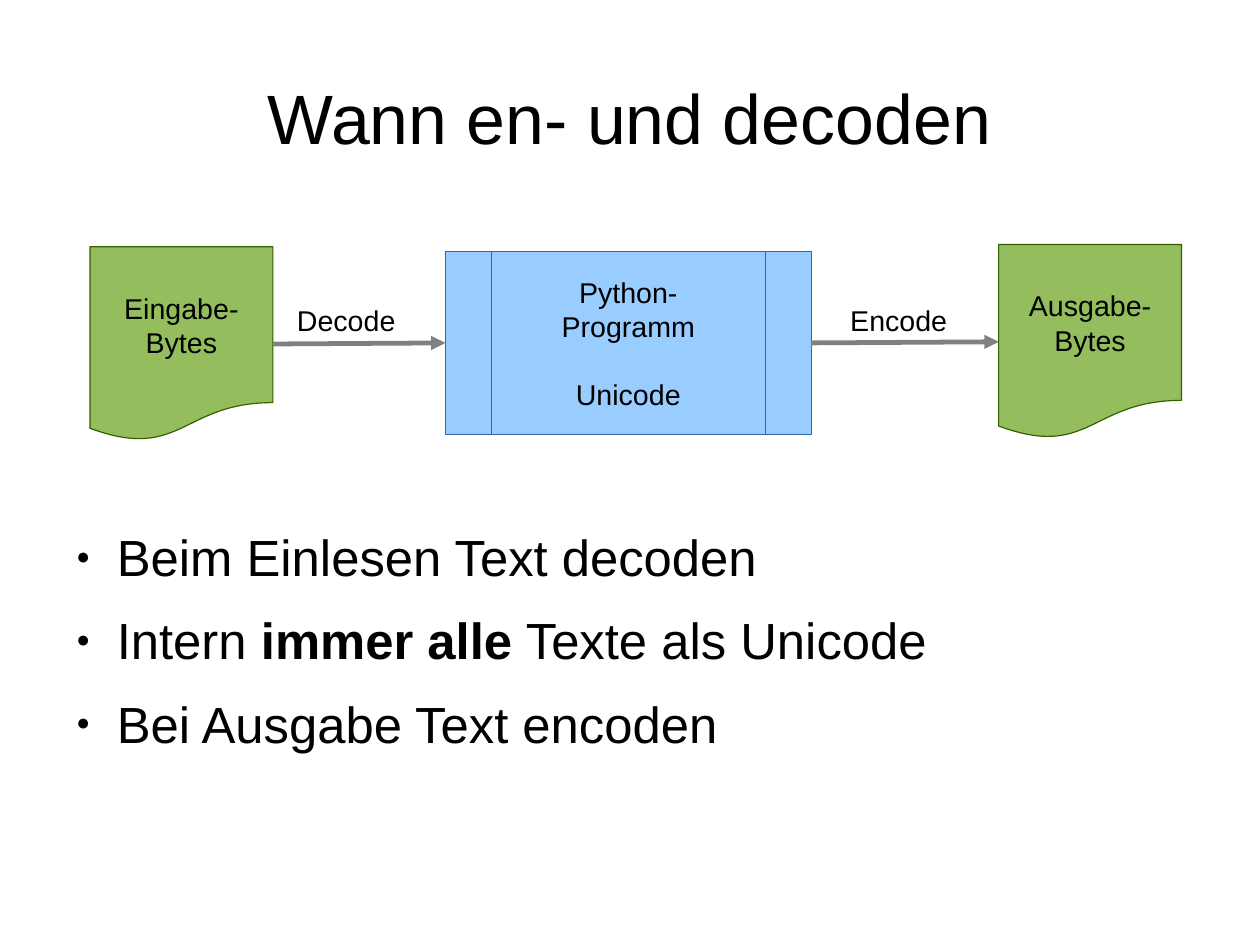
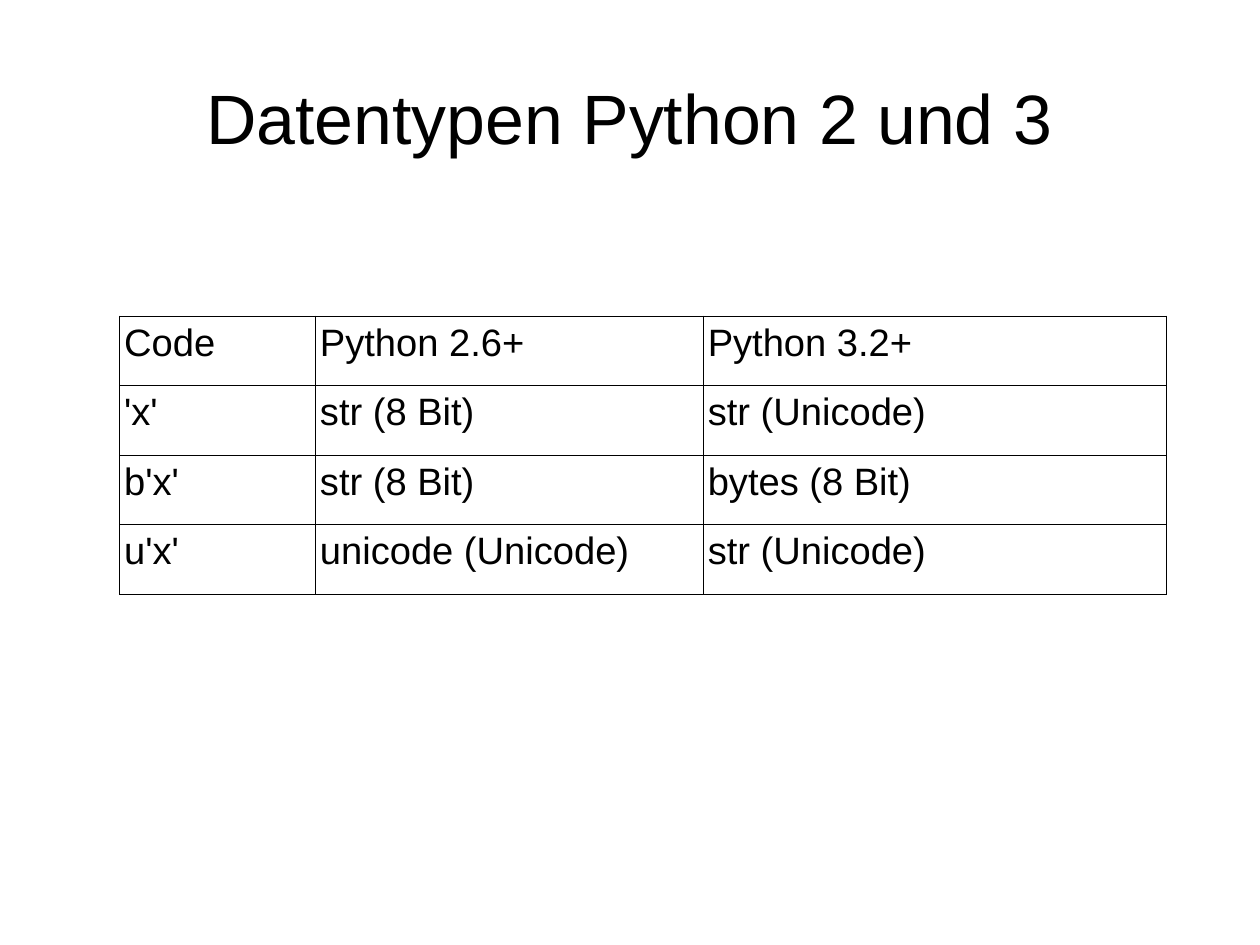
from dataclasses import dataclass
from typing import NamedTuple

import lxml.etree
import pptx
import pptx.dml.color
import pptx.enum.shapes
import pptx.enum.text
import pptx.oxml.ns
import pptx.util

Pt = pptx.util.Pt
qn = pptx.oxml.ns.qn
Kind = pptx.enum.shapes.MSO_SHAPE
Align = pptx.enum.text.PP_ALIGN
Anchor = pptx.enum.text.MSO_ANCHOR
Fit = pptx.enum.text.MSO_AUTO_SIZE


@dataclass(frozen=True)
class Theme:
    font: str = "Arial"
    ink: str = "000000"
    green: str = "94BD5E"
    moss: str = "355E00"
    sky: str = "99CCFF"
    blue: str = "3465A4"
    gray: str = "808080"
    title: float = 44
    body: float = 32
    table: float = 24
    label: float = 18


class Area(NamedTuple):
    left: float
    top: float
    width: float
    height: float

    def points(self) -> list:
        return [Pt(side) for side in self]


class Node(NamedTuple):
    kind: Kind
    area: Area
    fill: str
    line: str
    lines: tuple


class Label(NamedTuple):
    text: str
    area: Area


THEME = Theme()
CM = 72 / 2.54
WIDTH, HEIGHT = 28 * CM, 21 * CM
LEFT, SPAN = 39.6, 714.3
TITLE = Area(LEFT, 23.7, SPAN, 99.4)
BODY = Area(LEFT, 331.2, SPAN, 153.4)
BLANK = 21

NODES = (
    Node(Kind.FLOWCHART_PREDEFINED_PROCESS, Area(280.6, 158.4, 230.4, 115.2),
         THEME.sky, THEME.blue, ("Python-", "Programm", "Unicode")),
    Node(Kind.FLOWCHART_DOCUMENT, Area(56.7, 155.5, 115.2, 122.4),
         THEME.green, THEME.moss, ("Eingabe-\vBytes",)),
    Node(Kind.FLOWCHART_DOCUMENT, Area(629.1, 154.1, 115.2, 122.4),
         THEME.green, THEME.moss, ("Ausgabe-\vBytes",)),
)
LABELS = (
    Label("Decode", Area(180, 187.2, 76.3, 27.4)),
    Label("Encode", Area(528.5, 187.2, 75.6, 27.4)),
)
POINTS = (
    (("Beim Einlesen Text decoden", False),),
    (("Intern ", False), ("immer alle", True), (" Texte als Unicode", False)),
    (("Bei Ausgabe Text encoden", False),),
)
ROWS = (
    ("Code", "Python 2.6+", "Python 3.2+"),
    ("'x'", "str (8 Bit)", "str (Unicode)"),
    ("b'x'", "str (8 Bit)", "bytes (8 Bit)"),
    ("u'x'", "unicode (Unicode)", "str (Unicode)"),
)
COLS = (123.4, 244.3, 291.7)
ROW = 43.8


def tint(code: str) -> pptx.dml.color.RGBColor:
    return pptx.dml.color.RGBColor.from_string(code)


def style(para, size: float, align: Align = Align.LEFT) -> None:
    para.alignment = align
    para.font.name = THEME.font
    para.font.size = Pt(size)
    para.font.color.rgb = tint(THEME.ink)


def inset(box, side: float, edge: float) -> None:
    box.margin_left = box.margin_right = Pt(side)
    box.margin_top = box.margin_bottom = Pt(edge)


def place(holder, area: Area, anchor: Anchor):
    holder.left, holder.top, holder.width, holder.height = area.points()
    frame = holder.text_frame
    frame.auto_size = Fit.NONE
    frame.vertical_anchor = anchor
    inset(frame, 0, 0)
    return frame


def start(deck, layout: int, title: str):
    slide = deck.slides.add_slide(deck.slide_layouts[layout])
    frame = place(slide.shapes.title, TITLE, Anchor.MIDDLE)
    frame.text = title
    style(frame.paragraphs[0], THEME.title, Align.CENTER)
    return slide


def bullet(para) -> None:
    props = para._p.get_or_add_pPr()
    props.set("marL", str(Pt(34)))
    props.set("indent", str(-Pt(25.5)))
    color = lxml.etree.SubElement(props, qn("a:buClr"))
    lxml.etree.SubElement(color, qn("a:srgbClr"), val=THEME.ink)
    lxml.etree.SubElement(props, qn("a:buSzPct"), val="45000")
    lxml.etree.SubElement(props, qn("a:buFont"), typeface=THEME.font)
    lxml.etree.SubElement(props, qn("a:buChar"), char="●")


def fill_list(slide) -> None:
    frame = place(slide.placeholders[1], BODY, Anchor.TOP)
    for index, parts in enumerate(POINTS):
        para = frame.add_paragraph() if index else frame.paragraphs[0]
        para.space_before, para.space_after = Pt(0), Pt(14.1)
        bullet(para)
        style(para, THEME.body)
        for text, bold in parts:
            run = para.add_run()
            run.text = text
            if bold:
                run.font.bold = True


def draw_node(slide, node: Node):
    shape = slide.shapes.add_shape(node.kind, *node.area.points())
    shape.shadow.inherit = False
    shape.fill.solid()
    shape.fill.fore_color.rgb = tint(node.fill)
    shape.line.color.rgb = tint(node.line)
    shape.line.width = Pt(0)
    frame = shape.text_frame
    frame.word_wrap = False
    frame.vertical_anchor = Anchor.MIDDLE
    inset(frame, 7.2, 3.6)
    for index, text in enumerate(node.lines):
        para = frame.add_paragraph() if index else frame.paragraphs[0]
        para.text = text
        style(para, THEME.label, Align.CENTER)
        if index == 2:
            para.space_before = Pt(BLANK)
    return shape


def join(slide, first, second) -> None:
    arrow = slide.shapes.add_connector(
        pptx.enum.shapes.MSO_CONNECTOR.STRAIGHT, 0, 0, 0, 0)
    arrow.begin_connect(first, 3)
    arrow.end_connect(second, 1)
    arrow.line.color.rgb = tint(THEME.gray)
    arrow.line.width = Pt(3)
    props = arrow._element.spPr
    lxml.etree.SubElement(props.find(qn("a:ln")), qn("a:tailEnd"), type="triangle")
    lxml.etree.SubElement(props, qn("a:effectLst"))


def draw_label(slide, label: Label) -> None:
    frame = slide.shapes.add_textbox(*label.area.points()).text_frame
    frame.word_wrap = False
    inset(frame, 7.2, 3.6)
    frame.text = label.text
    style(frame.paragraphs[0], THEME.label)


def border(cell) -> None:
    props = cell._tc.get_or_add_tcPr()
    for side in ("lnL", "lnR", "lnT", "lnB"):
        line = lxml.etree.SubElement(props, qn(f"a:{side}"), w=str(Pt(0.57)))
        solid = lxml.etree.SubElement(line, qn("a:solidFill"))
        lxml.etree.SubElement(solid, qn("a:srgbClr"), val=THEME.ink)


def draw_table(slide) -> None:
    area = Area(75.3, 199.1, sum(COLS), ROW * len(ROWS))
    table = slide.shapes.add_table(len(ROWS), len(COLS), *area.points()).table
    table.first_row = table.horz_banding = False
    for column, width in zip(table.columns, COLS):
        column.width = Pt(width)
    for row, texts in zip(table.rows, ROWS):
        row.height = Pt(ROW)
        for cell, text in zip(row.cells, texts):
            border(cell)
            cell.fill.background()
            inset(cell, 2.9, 3.6)
            cell.text = text
            style(cell.text_frame.paragraphs[0], THEME.table)


def main() -> None:
    deck = pptx.Presentation()
    deck.slide_width, deck.slide_height = Pt(WIDTH), Pt(HEIGHT)

    flow = start(deck, 1, "Wann en- und decoden")
    fill_list(flow)
    core, source, target = [draw_node(flow, node) for node in NODES]
    join(flow, source, core)
    join(flow, core, target)
    for label in LABELS:
        draw_label(flow, label)

    types = start(deck, 5, "Datentypen Python 2 und 3")
    draw_table(types)

    deck.save("out.pptx")


if __name__ == "__main__":
    main()
